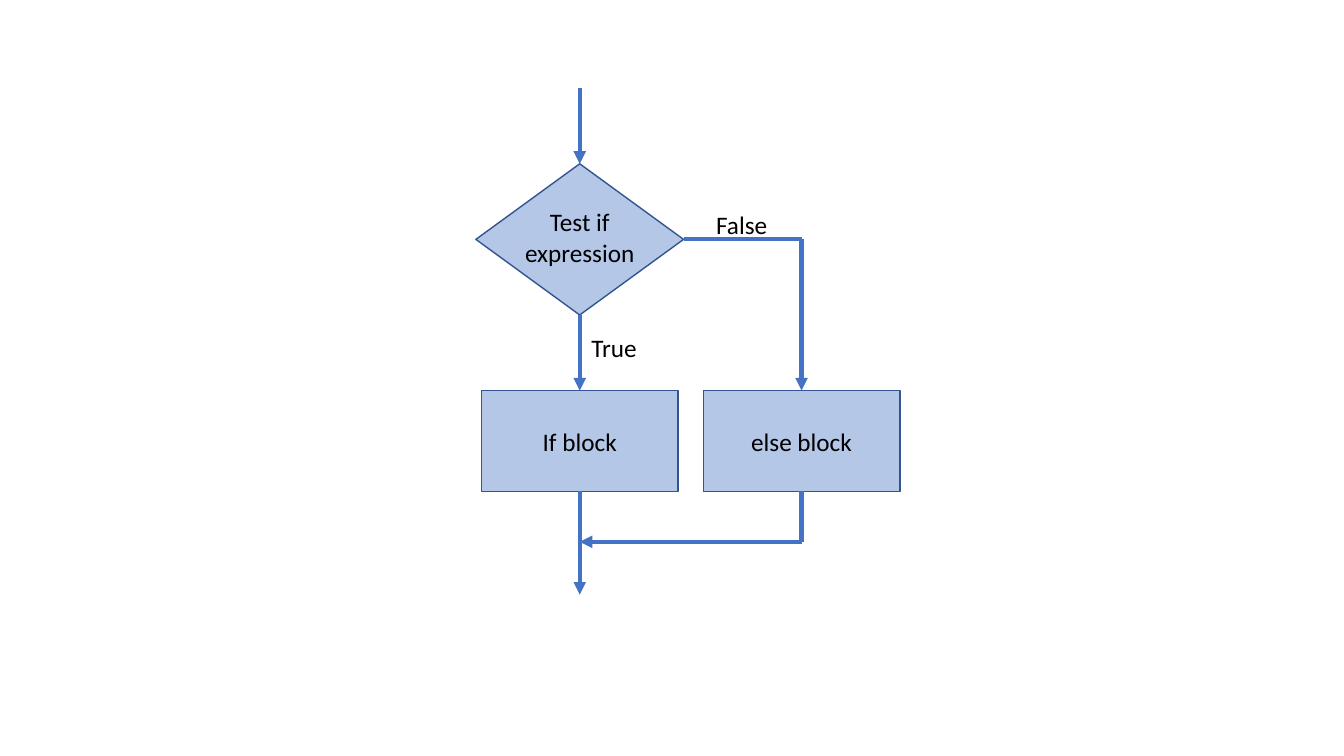
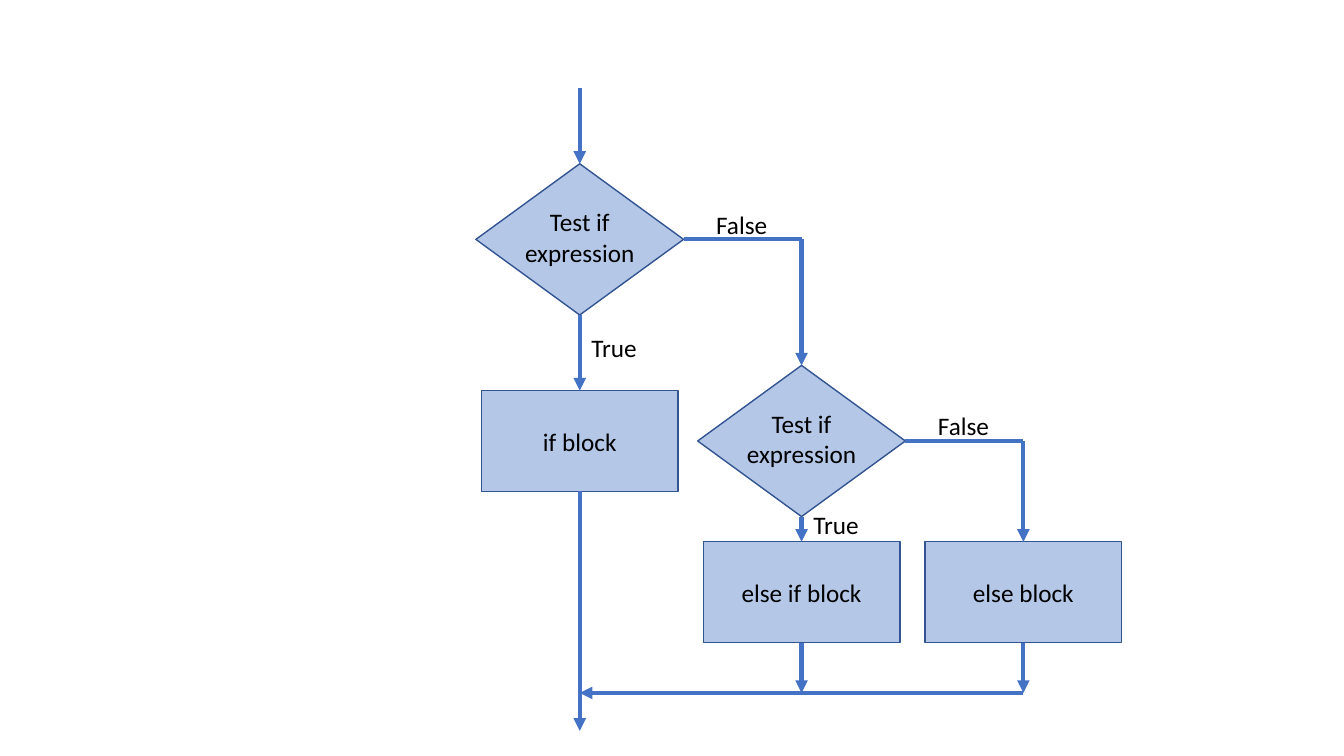
from collections import namedtuple
from dataclasses import dataclass

from pptx import Presentation
from pptx.dml.color import RGBColor
from pptx.enum.shapes import MSO_CONNECTOR as Connector, MSO_SHAPE as Preset
from pptx.enum.text import MSO_ANCHOR as Anchor, PP_ALIGN as Align
from pptx.oxml.ns import qn
from pptx.util import Inches, Pt
from lxml.etree import SubElement


@dataclass(frozen=True)
class Theme:
    fill: RGBColor = RGBColor.from_string("B4C7E7")
    outline: RGBColor = RGBColor.from_string("325491")
    flow: RGBColor = RGBColor.from_string("4472C4")
    text: RGBColor = RGBColor.from_string("000000")
    font: str = "Calibri"
    text_size: Pt = Pt(18)
    outline_width: Pt = Pt(1)
    flow_width: Pt = Pt(3)


THEME = Theme()
SLIDE_WIDTH, SLIDE_HEIGHT = Inches(13.33), Inches(7.5)
ROW = SLIDE_HEIGHT / 30
FIRST_COLUMN, COLUMN = Inches(5.75), Inches(2.2)

# Sizes are (inches wide, rows high); rows are counted from the slide's top.
DIAMOND_SIZE = (2.06, 6)
BLOCK_SIZE = (1.95, 4)
QUESTION_SIZE = (1.92, 2.8)
LABEL_SIZE = (1.28, 1.6)
ENTRY_ROW, TEST_ROW, BLOCK_ROW = 3.5, 9.5, 17.5
TOP, BOTTOM, RIGHT = 0, 2, 3

Site = namedtuple("Site", "shape index")
Point = namedtuple("Point", "column row")


def to_emu(point):
    return int(FIRST_COLUMN + point.column * COLUMN), int(point.row * ROW)


def frame(centre, size):
    """Left, top, width and height of a box around a grid point."""
    x, y = to_emu(centre)
    width, height = Inches(size[0]), int(size[1] * ROW)
    return x - width // 2, y - height // 2, width, height


def write(shape, text):
    text_frame = shape.text_frame
    text_frame.word_wrap = True
    text_frame.vertical_anchor = Anchor.MIDDLE
    paragraph = text_frame.paragraphs[0]
    paragraph.alignment = Align.CENTER
    run = paragraph.add_run()
    run.text = text
    for name, value in {"name": THEME.font, "size": THEME.text_size}.items():
        setattr(run.font, name, value)
    run.font.color.rgb = THEME.text


def add_label(slide, centre, text, size=LABEL_SIZE):
    write(slide.shapes.add_textbox(*frame(centre, size)), text)


def add_node(slide, preset, centre, size):
    shape = slide.shapes.add_shape(preset, *frame(centre, size))
    shape.shadow.inherit = False
    shape.fill.solid()
    shape.fill.fore_color.rgb = THEME.fill
    shape.line.color.rgb = THEME.outline
    shape.line.width = THEME.outline_width
    return shape


def add_block(slide, centre, text):
    block = add_node(slide, Preset.RECTANGLE, centre, BLOCK_SIZE)
    write(block, text)
    return block


def add_flow(slide, start, end, arrow=True):
    """Straight line between grid points or connection sites of shapes."""
    ends = [(0, 0) if isinstance(place, Site) else to_emu(place)
            for place in (start, end)]
    connector = slide.shapes.add_connector(Connector.STRAIGHT, *ends[0], *ends[1])
    for place, connect in ((start, connector.begin_connect),
                           (end, connector.end_connect)):
        if isinstance(place, Site):
            connect(*place)
    connector.line.color.rgb = THEME.flow
    connector.line.width = THEME.flow_width
    properties = connector._element.spPr
    if arrow:
        SubElement(properties.find(qn("a:ln")), qn("a:tailEnd"), type="triangle")
    SubElement(properties, qn("a:effectLst"))


def add_test(slide, test, block_row, block_text):
    """Diamond with the block of its True branch below; returns both."""
    diamond = add_node(slide, Preset.DIAMOND, test, DIAMOND_SIZE)
    add_label(slide, Point(test.column, test.row - 0.1),
              "Test if expression", QUESTION_SIZE)
    block = add_block(slide, Point(test.column, block_row), block_text)
    add_flow(slide, Site(diamond, BOTTOM), Site(block, TOP))
    gap_middle = (test.row + DIAMOND_SIZE[1] / 2 + block_row - BLOCK_SIZE[1] / 2) / 2
    add_label(slide, Point(test.column + 0.155, gap_middle - 0.2), "True")
    return diamond, block


def add_false_branch(slide, diamond, test, target):
    """Route from the diamond's right corner down to a node one column on."""
    corner = Point(test.column + 1, test.row)
    add_flow(slide, Site(diamond, RIGHT), corner, arrow=False)
    add_flow(slide, corner, Site(target, TOP))
    add_label(slide, Point(test.column + 0.73, test.row - 0.6), "False")


def add_main_path(slide, block_text, exit_row):
    """First column, from entry to exit; returns the diamond and its grid point."""
    test = Point(0, TEST_ROW)
    diamond, block = add_test(slide, test, BLOCK_ROW, block_text)
    add_flow(slide, Point(0, ENTRY_ROW), Site(diamond, TOP))
    add_flow(slide, Site(block, BOTTOM), Point(0, exit_row))
    return diamond, test


def add_merge(slide, blocks, row, arrow):
    """Bring the blocks, one per column, back to the main path."""
    for column, block in enumerate(blocks, start=1):
        add_flow(slide, Site(block, BOTTOM), Point(column, row), arrow)
    add_flow(slide, Point(len(blocks), row), Point(0, row))


def build_if_else(slide):
    diamond, test = add_main_path(slide, "If block", exit_row=23.6)
    else_block = add_block(slide, Point(1, BLOCK_ROW), "else block")
    add_false_branch(slide, diamond, test, else_block)
    add_merge(slide, [else_block], row=21.5, arrow=False)


def build_else_if(slide):
    last_row = 23.5
    diamond, test = add_main_path(slide, "if block", exit_row=29)
    second_test = Point(1, BLOCK_ROW)
    second_diamond, else_if_block = add_test(
        slide, second_test, last_row, "else if block")
    else_block = add_block(slide, Point(2, last_row), "else block")
    add_false_branch(slide, diamond, test, second_diamond)
    add_false_branch(slide, second_diamond, second_test, else_block)
    add_merge(slide, [else_if_block, else_block], row=27.5, arrow=True)


def main():
    presentation = Presentation()
    presentation.slide_width, presentation.slide_height = SLIDE_WIDTH, SLIDE_HEIGHT
    blank_layout = presentation.slide_layouts[6]
    for build in (build_if_else, build_else_if):
        build(presentation.slides.add_slide(blank_layout))
    presentation.save("out.pptx")


if __name__ == "__main__":
    main()
